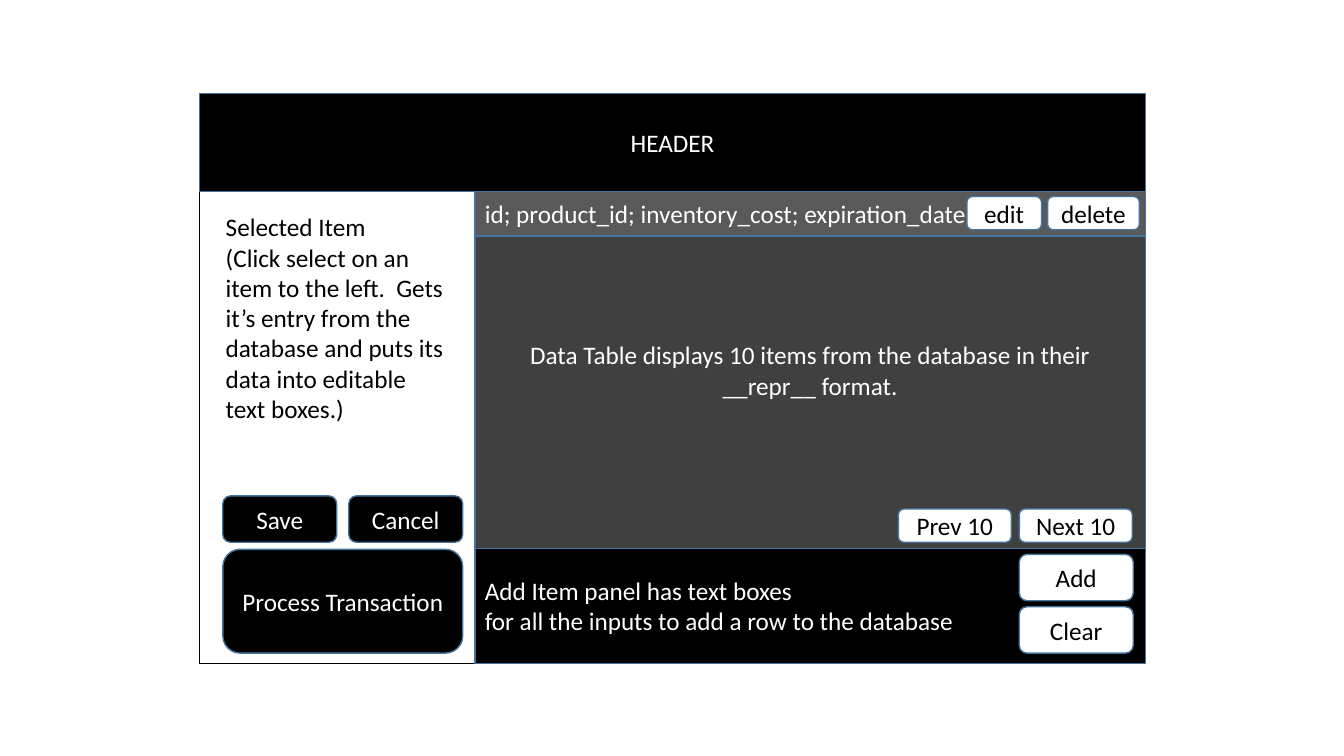
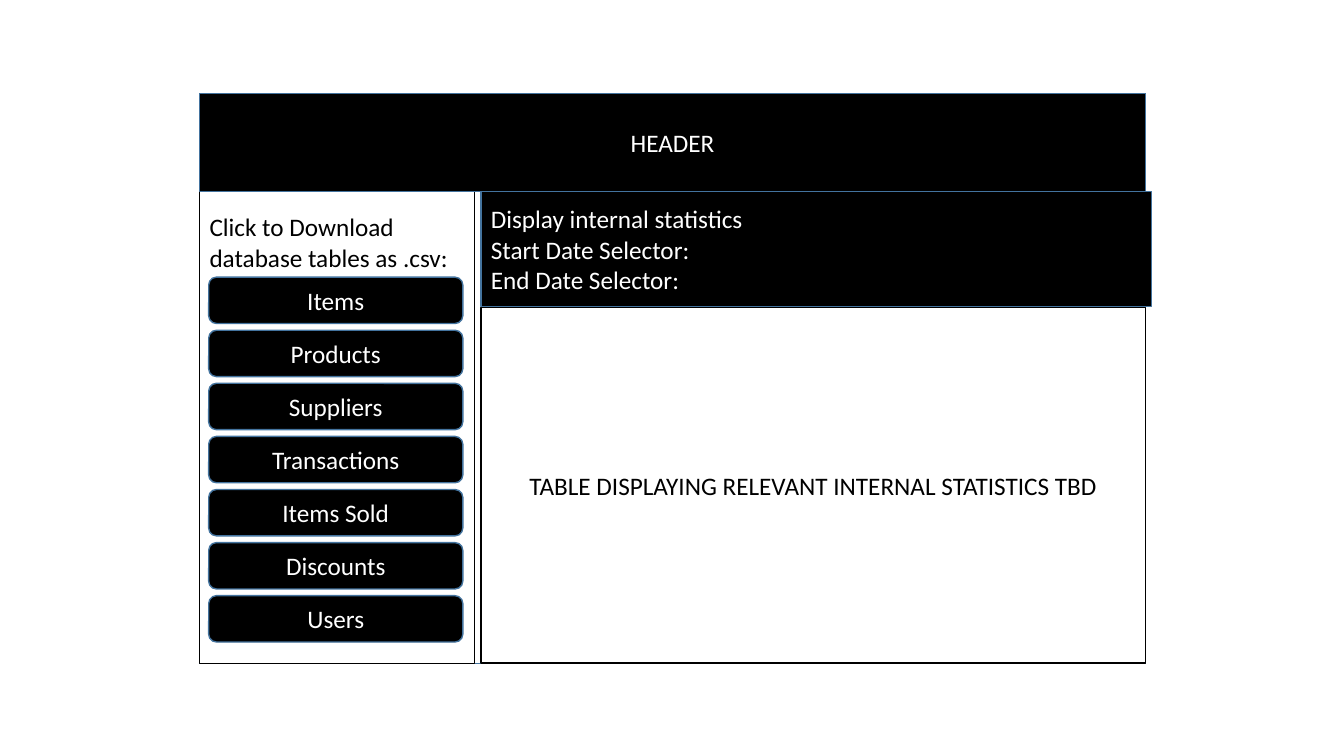
from dataclasses import dataclass

from pptx import Presentation
from pptx.dml.color import RGBColor
from pptx.enum.shapes import MSO_SHAPE
from pptx.enum.text import MSO_ANCHOR, PP_ALIGN
from pptx.util import Inches, Pt


@dataclass(frozen=True)
class Theme:
    black: str = "000000"
    white: str = "FFFFFF"
    table: str = "404040"
    row: str = "595959"
    outline: str = "43739E"
    font: str = "Calibri"
    size: int = 18
    line_width: int = 1


@dataclass(frozen=True)
class Box:
    left: float
    top: float
    width: float
    height: float

    def inside(self, dx, dy, width, height):
        return Box(self.left + dx, self.top + dy, width, height)

    def lengths(self):
        return [Inches(v) for v in (self.left, self.top, self.width, self.height)]


THEME = Theme()
FRAME = Box(1.98, 0.93, 9.38, 5.65)
HEADER_HEIGHT = 0.97
SIDEBAR_WIDTH = 2.73
BAND_HEIGHT = 1.14
BUTTON_HEIGHT = 0.46
SMALL_HEIGHT = 0.33
BUTTON_WIDTH = 1.13
BODY_HEIGHT = FRAME.height - HEADER_HEIGHT
MAIN_WIDTH = FRAME.width - SIDEBAR_WIDTH
HEADER = FRAME.inside(0, 0, FRAME.width, HEADER_HEIGHT)
SIDEBAR = FRAME.inside(0, HEADER_HEIGHT, SIDEBAR_WIDTH, BODY_HEIGHT)
MAIN = FRAME.inside(SIDEBAR_WIDTH, HEADER_HEIGHT, MAIN_WIDTH, BODY_HEIGHT)


def write(shape, lines, color, align):
    frame = shape.text_frame
    frame.word_wrap = True
    for index, line in enumerate(lines):
        paragraph = frame.paragraphs[0] if index == 0 else frame.add_paragraph()
        paragraph.alignment = align
        run = paragraph.add_run()
        run.text = line
        run.font.name = THEME.font
        run.font.size = Pt(THEME.size)
        run.font.color.rgb = RGBColor.from_string(color)


def add_panel(slide, box, fill, *lines, align=PP_ALIGN.CENTER,
              outline=THEME.outline, kind=MSO_SHAPE.RECTANGLE):
    panel = slide.shapes.add_shape(kind, *box.lengths())
    panel.shadow.inherit = False
    panel.fill.solid()
    panel.fill.fore_color.rgb = RGBColor.from_string(fill)
    panel.line.color.rgb = RGBColor.from_string(outline)
    panel.line.width = Pt(THEME.line_width)
    panel.text_frame.vertical_anchor = MSO_ANCHOR.MIDDLE
    color = THEME.black if fill == THEME.white else THEME.white
    write(panel, lines, color, align)


def add_button(slide, box, fill, label):
    add_panel(slide, box, fill, label, kind=MSO_SHAPE.ROUNDED_RECTANGLE)


def add_note(slide, box, *lines):
    note = slide.shapes.add_textbox(*box.lengths())
    write(note, lines, THEME.black, PP_ALIGN.LEFT)


def add_page(deck):
    slide = deck.slides.add_slide(deck.slide_layouts[6])
    add_panel(slide, FRAME, THEME.white)
    add_panel(slide, SIDEBAR, THEME.white, outline=THEME.black)
    add_panel(slide, HEADER, THEME.black, "HEADER")
    return slide


def selected_item(slide, box):
    add_note(slide, box.inside(0.16, 0.15, 2.41, 2.22),
             "Selected Item",
             "(Click select on an item to the left.  Gets it’s entry from the "
             "database and puts its data into editable text boxes.)")
    for index, label in enumerate(("Save", "Cancel")):
        button = box.inside(0.23 + index * 1.25, 3.02, BUTTON_WIDTH, BUTTON_HEIGHT)
        add_button(slide, button, THEME.black, label)
    add_button(slide, box.inside(0.23, 3.55, 2.38, 1.03), THEME.black,
               "Process Transaction")


def data_table(slide, box):
    add_panel(slide, box, THEME.table,
              "Data Table displays 10 items from the database in their __repr__ format.")
    add_panel(slide, box.inside(0, 0, box.width, 0.44), THEME.row,
              "id; product_id; inventory_cost; expiration_date", align=PP_ALIGN.LEFT)
    buttons = (
        ("edit", 4.88, 0.05, 0.74),
        ("delete", 5.68, 0.05, 0.91),
        ("Prev 10", 4.2, 3.15, 1.12),
        ("Next 10", 5.4, 3.15, 1.12),
    )
    for label, dx, dy, width in buttons:
        add_button(slide, box.inside(dx, dy, width, SMALL_HEIGHT), THEME.white, label)


def add_item_panel(slide, box):
    add_panel(slide, box, THEME.black,
              "Add Item panel has text boxes",
              "for all the inputs to add a row to the database", align=PP_ALIGN.LEFT)
    for index, label in enumerate(("Add", "Clear")):
        button = box.inside(5.4, 0.06 + index * 0.52, BUTTON_WIDTH, BUTTON_HEIGHT)
        add_button(slide, button, THEME.white, label)


def download_list(slide, box):
    add_note(slide, box.inside(0, 0.15, box.width, 0.71),
             "Click to Download database tables as .csv:")
    tables = ("Items", "Products", "Suppliers", "Transactions",
              "Items Sold", "Discounts", "Users")
    first, last = 0.85, 4.01
    step = (last - first) / (len(tables) - 1)
    for index, label in enumerate(tables):
        button = box.inside(0.09, first + index * step, 2.52, BUTTON_HEIGHT)
        add_button(slide, button, THEME.black, label)


def statistics(slide, box):
    gap = 0.06
    table_top = BAND_HEIGHT + 0.01
    add_panel(slide, box.inside(gap, 0, box.width, BAND_HEIGHT), THEME.black,
              "Display internal statistics", "Start Date Selector:",
              "End Date Selector:", align=PP_ALIGN.LEFT)
    add_panel(slide, box.inside(gap, table_top, box.width - gap, box.height - table_top),
              THEME.white, "TABLE DISPLAYING RELEVANT INTERNAL STATISTICS TBD",
              outline=THEME.black)


def inventory_page(deck):
    slide = add_page(deck)
    table_height = MAIN.height - BAND_HEIGHT
    selected_item(slide, SIDEBAR)
    add_item_panel(slide, MAIN.inside(0, table_height, MAIN.width, BAND_HEIGHT))
    data_table(slide, MAIN.inside(0, 0, MAIN.width, table_height))


def statistics_page(deck):
    slide = add_page(deck)
    download_list(slide, SIDEBAR)
    statistics(slide, MAIN)


deck = Presentation()
deck.slide_width = Inches(13.33)
deck.slide_height = Inches(7.5)
inventory_page(deck)
statistics_page(deck)
deck.save("out.pptx")
